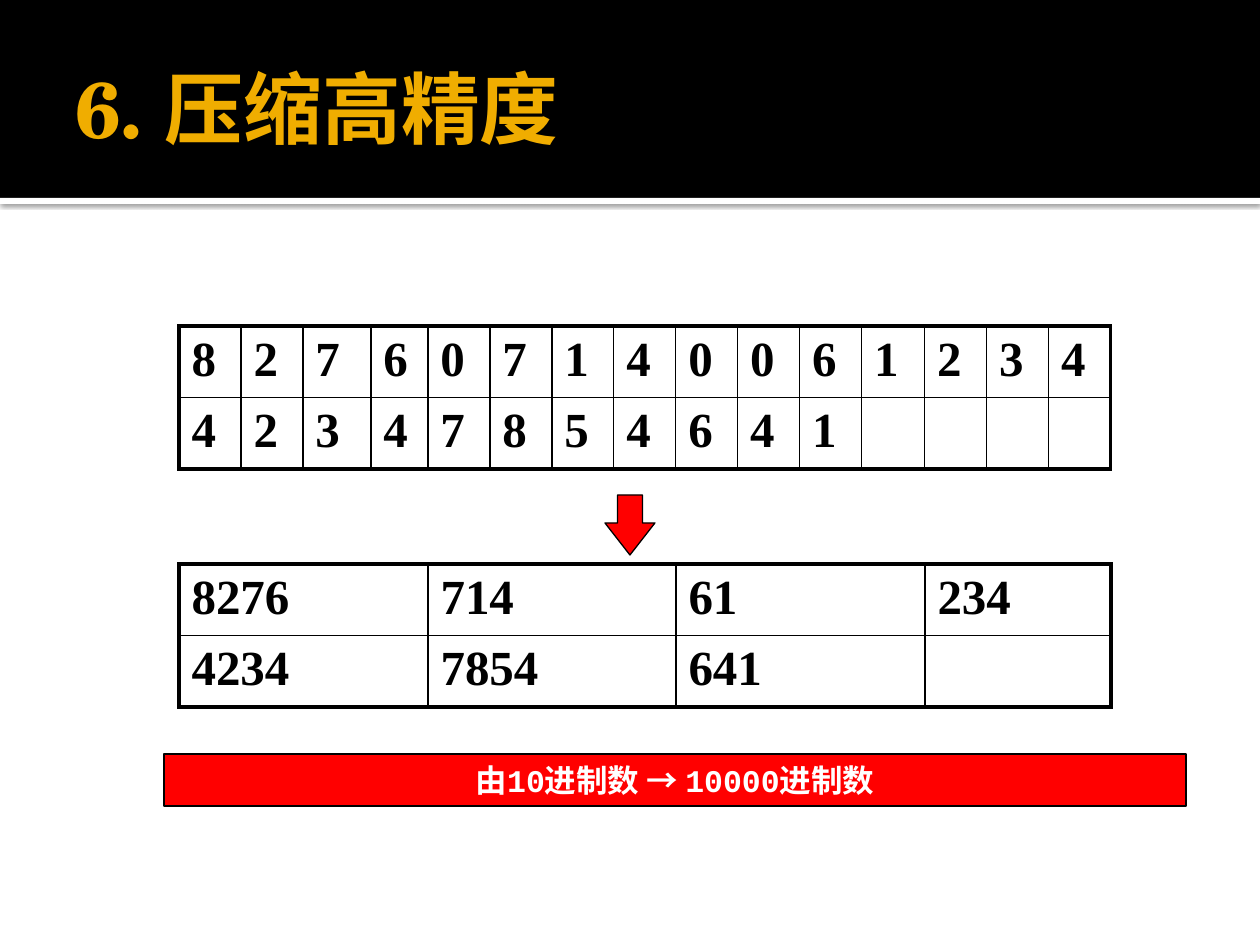
from lxml import etree
from pptx import Presentation
from pptx.dml.color import RGBColor
from pptx.enum.shapes import MSO_SHAPE as Shape
from pptx.enum.text import MSO_ANCHOR as Anchor, PP_ALIGN as Align
from pptx.oxml import parse_xml
from pptx.oxml.ns import nsdecls, qn
from pptx.util import Emu, Pt

PX_PER_INCH = 126
COLORS = {"black": "000000", "white": "FFFFFF", "gold": "F0AD00", "red": "FF0000"}
OUTER, INNER = 2.25, 1  # table border widths in points
DIGIT_ROWS = ["827607140061234", "42347854641"]
GROUP_ROWS = [["8276", "714", "61", "234"], ["4234", "7854", "641"]]


def px(length):
    return Emu(round(length * 914400 / PX_PER_INCH))


def color(name):
    return RGBColor.from_string(COLORS[name])


def write(frame, text, font, size, fill="black", align=Align.LEFT, anchor=Anchor.TOP):
    frame.word_wrap = True
    frame.vertical_anchor = anchor
    paragraph = frame.paragraphs[0]
    paragraph.alignment = align
    run = paragraph.add_run()
    run.text = text
    run.font.name, run.font.size, run.font.bold = font, Pt(size), True
    run.font.color.rgb = color(fill)


def add_box(slide, preset, box, fill, outlined=False):
    shape = slide.shapes.add_shape(preset, *map(px, box))
    shape.shadow.inherit = False
    shape.fill.solid()
    shape.fill.fore_color.rgb = color(fill)
    if outlined:
        shape.line.color.rgb = color("black")
        shape.line.width = Pt(0.75)
    else:
        shape.line.fill.background()
    return shape


def add_header(slide, box, text):
    left, top, width, height = box
    strip_height = 6
    add_box(slide, Shape.RECTANGLE, (left, top, width, height), "black")
    strip = add_box(slide, Shape.RECTANGLE, (left, top + height, width, strip_height), "white")

    # Soft shadow below the white strip
    effects = strip.element.spPr.find(qn("a:effectLst"))
    effects.append(parse_xml(
        f'<a:outerShdw {nsdecls("a")} blurRad="{Pt(2.5)}" dist="{Pt(0.8)}" dir="5400000" '
        f'algn="tl" rotWithShape="0"><a:srgbClr val="{COLORS["black"]}">'
        '<a:alpha val="60000"/></a:srgbClr></a:outerShdw>'))

    # Title, in front of the band
    title = slide.shapes.title
    title.left, title.top = px(left + 63), px(top + 21)
    title.width, title.height = px(width - 126), px(173)
    frame = title.text_frame
    frame.margin_left = px(12)
    frame.margin_top = frame.margin_right = frame.margin_bottom = px(6)
    write(frame, text, "TeX Gyre Schola", 45, fill="gold", anchor=Anchor.MIDDLE)
    slide.shapes.element.append(title.element)


def set_borders(cell, widths):
    properties = cell._tc.get_or_add_tcPr()
    for index, (side, width) in enumerate(zip("LRTB", widths)):
        line = etree.Element(qn(f"a:ln{side}"), w=str(Pt(width)))
        fill = etree.SubElement(line, qn("a:solidFill"))
        etree.SubElement(fill, qn("a:srgbClr"), val=COLORS["black"])
        properties.insert(index, line)


def add_number_table(slide, box, edges, rows):
    row_count, column_count = len(rows), len(edges) - 1
    table = slide.shapes.add_table(row_count, column_count, *map(px, box)).table
    table.first_row = table.horz_banding = False
    for column, start, end in zip(table.columns, edges, edges[1:]):
        column.width = px(end - start)
    for r, values in enumerate(rows):
        for c in range(column_count):
            cell = table.cell(r, c)
            cell.fill.background()
            on_edge = (c == 0, c == column_count - 1, r == 0, r == row_count - 1)
            set_borders(cell, [OUTER if edge else INNER for edge in on_edge])
            if c < len(values):
                write(cell.text_frame, values[c], "Times New Roman", 28)


def add_compression(slide, box):
    left, top, width, height = box
    table_height = 143

    # One digit per column; the third column is a little wider than its neighbours
    digit_count = len(DIGIT_ROWS[0])
    edges = [round(i * width / digit_count) for i in range(digit_count + 1)]
    edges[3] += 6
    add_number_table(slide, (left, top, width, table_height), edges, DIGIT_ROWS)

    # Four digits per column
    group_edges = edges[::4] + edges[-1:]
    add_number_table(slide, (left, top + height - table_height, width, table_height),
                     group_edges, GROUP_ROWS)

    # Arrow between the tables
    arrow = add_box(slide, Shape.DOWN_ARROW, (left + 426, top + 169, 50, 60), "red", outlined=True)
    arrow.adjustments[0], arrow.adjustments[1] = 0.5, 0.64


def add_caption(slide, box, text):
    bar = add_box(slide, Shape.RECTANGLE, box, "red", outlined=True)
    write(bar.text_frame, text, "Courier New", 18, fill="white",
          align=Align.CENTER, anchor=Anchor.MIDDLE)


def main():
    presentation = Presentation()
    presentation.slide_width, presentation.slide_height = px(1260), px(945)
    slide = presentation.slides.add_slide(presentation.slide_layouts[5])
    add_header(slide, (0, 0, 1260, 198), "6. 压缩高精度")
    add_compression(slide, (179, 326, 932, 381))
    add_caption(slide, (164, 754, 1022, 52), "由10进制数 → 10000进制数")
    presentation.save("out.pptx")


if __name__ == "__main__":
    main()
